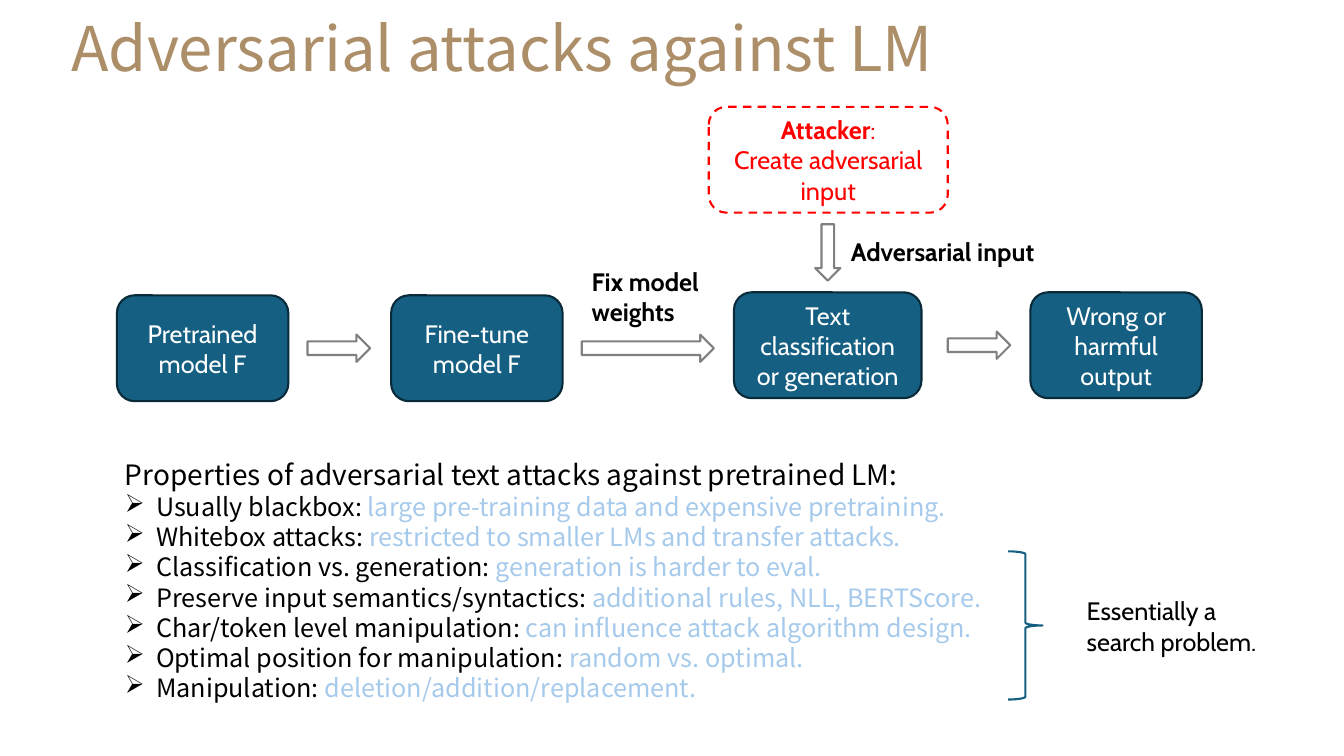
"""Builds the slide on adversarial attacks against language models."""
from dataclasses import dataclass
from typing import Any

import pptx
import pptx.dml.color
import pptx.enum.dml
import pptx.enum.shapes
import pptx.enum.text
import pptx.util
from lxml import etree

Inches = pptx.util.Inches
RGBColor = pptx.dml.color.RGBColor
Shape = pptx.enum.shapes.MSO_SHAPE
Align = pptx.enum.text.PP_ALIGN
Anchor = pptx.enum.text.MSO_ANCHOR

GOLD = RGBColor(0xAC, 0x8E, 0x68)
TEAL = RGBColor(0x15, 0x60, 0x82)
DARK_TEAL = RGBColor(0x09, 0x2A, 0x39)
GRAY = RGBColor(0x80, 0x80, 0x80)
RED = RGBColor(0xFF, 0x00, 0x00)
SKY = RGBColor(0xA6, 0xCA, 0xEC)
BLACK = RGBColor(0x00, 0x00, 0x00)
WHITE = RGBColor(0xFF, 0xFF, 0xFF)

DIAGRAM_FONT = "Cabin"
BODY_FONT = "Noto Sans CJK SC"
BOX_HEIGHT = 1.05
HANGING = 0.31
DRAWING_NS = "http://schemas.openxmlformats.org/drawingml/2006/main"


@dataclass(frozen=True)
class Area:
    left: float
    top: float
    width: float
    height: float

    def lengths(self) -> list[int]:
        return [Inches(n) for n in (self.left, self.top, self.width, self.height)]


@dataclass(frozen=True)
class Step:
    text: str
    left: float
    top: float
    width: float = 1.7


@dataclass(frozen=True)
class Arrow:
    area: Area
    rotation: float = 0


@dataclass(frozen=True)
class Label:
    lines: tuple[str, ...]
    area: Area
    bold: bool


@dataclass(frozen=True)
class Property:
    name: str
    detail: str


STEPS = (
    Step("Pretrained model F", 1.16, 2.93),
    Step("Fine-tune model F", 3.88, 2.93),
    Step("Text classification or generation", 7.28, 2.9, 1.86),
    Step("Wrong or harmful output", 10.22, 2.9),
)
ARROWS = (
    Arrow(Area(3.05, 3.32, 0.62, 0.27)),
    Arrow(Area(5.77, 3.32, 1.31, 0.27)),
    Arrow(Area(7.93, 2.38, 0.56, 0.25), 90),
    Arrow(Area(9.4, 3.29, 0.62, 0.27)),
)
LABELS = (
    Label(("Fix model", "weights"), Area(5.77, 2.59, 1.31, 0.71), True),
    Label(("Adversarial input",), Area(8.34, 2.3, 2.15, 0.4), True),
    Label(("Essentially a", "search problem."), Area(10.68, 5.86, 1.98, 0.71), False),
)
PROPERTIES = (
    Property("Usually blackbox: ", "large pre-training data and expensive pretraining."),
    Property("Whitebox attacks: ", "restricted to smaller LMs and transfer attacks."),
    Property("Classification vs. generation: ", "generation is harder to eval."),
    Property("Preserve input semantics/syntactics: ", "additional rules, NLL, BERTScore."),
    Property("Char/token level manipulation: ", "can influence attack algorithm design."),
    Property("Optimal position for manipulation: ", "random vs. optimal."),
    Property("Manipulation: ", "deletion/addition/replacement."),
)


def add_span(para: Any, text: str, color: RGBColor, size: float = 18,
             font: str = DIAGRAM_FONT, bold: bool = False) -> None:
    span = para.add_run()
    span.text = text
    span.font.name = font
    span.font.size = pptx.util.Pt(size)
    span.font.bold = bold
    span.font.color.rgb = color


def add_outline(slide: Any, kind: Any, area: Area, line: RGBColor,
                fill: RGBColor | None = None) -> Any:
    shape = slide.shapes.add_shape(kind, *area.lengths())
    shape.shadow.inherit = False
    if fill is None:
        shape.fill.background()
    else:
        shape.fill.solid()
        shape.fill.fore_color.rgb = fill
    shape.line.color.rgb = line
    shape.line.width = pptx.util.Pt(1.5)
    return shape


def add_text_frame(slide: Any, area: Area) -> Any:
    frame = slide.shapes.add_textbox(*area.lengths()).text_frame
    frame.word_wrap = False
    frame.auto_size = pptx.enum.text.MSO_AUTO_SIZE.SHAPE_TO_FIT_TEXT
    return frame


def add_title(slide: Any) -> None:
    frame = slide.shapes.add_textbox(*Area(0.61, 0.03, 12.06, 0.96).lengths()).text_frame
    frame.word_wrap = True
    frame.vertical_anchor = Anchor.MIDDLE
    para = frame.paragraphs[0]
    para.line_spacing = 0.9
    add_span(para, "Adversarial attacks against LM", GOLD, 44, BODY_FONT)


def add_step(slide: Any, step: Step) -> None:
    area = Area(step.left, step.top, step.width, BOX_HEIGHT)
    frame = add_outline(slide, Shape.ROUNDED_RECTANGLE, area, DARK_TEAL, TEAL).text_frame
    frame.vertical_anchor = Anchor.MIDDLE
    para = frame.paragraphs[0]
    para.alignment = Align.CENTER
    add_span(para, step.text, WHITE)


def add_attacker(slide: Any) -> None:
    area = Area(7.03, 1.06, 2.37, BOX_HEIGHT)
    box = add_outline(slide, Shape.ROUNDED_RECTANGLE, area, RED)
    box.line.dash_style = pptx.enum.dml.MSO_LINE.DASH
    frame = box.text_frame
    frame.vertical_anchor = Anchor.MIDDLE
    heading, action = frame.paragraphs[0], frame.add_paragraph()
    heading.alignment = action.alignment = Align.CENTER
    add_span(heading, "Attacker", RED, bold=True)
    add_span(heading, ":", RED)
    add_span(action, "Create adversarial input", RED)


def add_label(slide: Any, label: Label) -> None:
    frame = add_text_frame(slide, label.area)
    for index, line in enumerate(label.lines):
        para = frame.add_paragraph() if index else frame.paragraphs[0]
        add_span(para, line, BLACK, bold=label.bold)


def add_properties(slide: Any) -> None:
    frame = add_text_frame(slide, Area(1.14, 4.49, 8.92, 2.56))
    add_span(frame.paragraphs[0],
             "Properties of adversarial text attacks against pretrained LM:",
             BLACK, 20, BODY_FONT)
    for item in PROPERTIES:
        para = frame.add_paragraph()
        settings = para._p.get_or_add_pPr()
        settings.set("marL", str(Inches(HANGING)))
        settings.set("indent", str(-Inches(HANGING)))
        etree.SubElement(settings, f"{{{DRAWING_NS}}}buChar", char="➢")
        add_span(para, item.name, BLACK, font=BODY_FONT)
        add_span(para, item.detail, SKY, font=BODY_FONT)


def main() -> None:
    deck = pptx.Presentation()
    deck.slide_width, deck.slide_height = Inches(13.33), Inches(7.5)
    slide = deck.slides.add_slide(deck.slide_layouts[6])
    add_title(slide)
    for step in STEPS:
        add_step(slide, step)
    for arrow in ARROWS:
        add_outline(slide, Shape.RIGHT_ARROW, arrow.area, GRAY).rotation = arrow.rotation
    add_attacker(slide)
    for label in LABELS:
        add_label(slide, label)
    add_properties(slide)
    add_outline(slide, Shape.RIGHT_BRACE, Area(10, 5.47, 0.34, 1.47), TEAL)
    deck.save("out.pptx")


if __name__ == "__main__":
    main()
